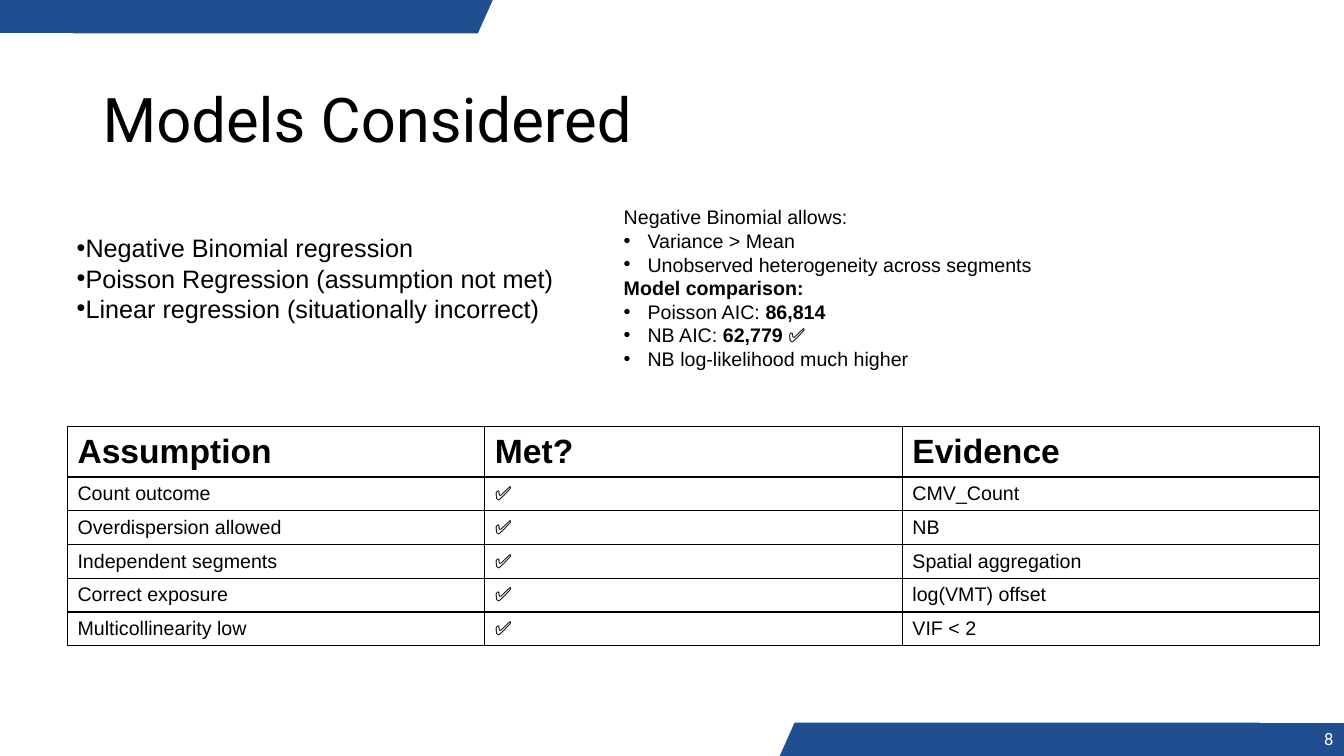
from lxml.etree import SubElement
from pptx import Presentation
from pptx.dml.color import RGBColor
from pptx.enum.shapes import MSO_SHAPE
from pptx.enum.text import MSO_ANCHOR, MSO_AUTO_SIZE, PP_ALIGN
from pptx.oxml.ns import qn
from pptx.util import Cm, Pt

BLUE = RGBColor(0x21, 0x4E, 0x91)
BLACK = RGBColor(0, 0, 0)
WHITE = RGBColor(0xFF, 0xFF, 0xFF)

SLIDE_WIDTH, SLIDE_HEIGHT = 33.87, 19.05
BAND_HEIGHT = 0.84

MODELS = [
    "Negative Binomial regression",
    "Poisson Regression (assumption not met)",
    "Linear regression (situationally incorrect)",
]
# Each line: bulleted or not, then its (text, bold) pieces
COMPARISON = [
    (False, [("Negative Binomial allows:", False)]),
    (True, [("Variance > Mean", False)]),
    (True, [("Unobserved heterogeneity across segments", False)]),
    (False, [("Model comparison:", True)]),
    (True, [("Poisson AIC: ", False), ("86,814", True)]),
    (True, [("NB AIC: ", False), ("62,779", True), (" ✅", False)]),
    (True, [("NB log-likelihood much higher", False)]),
]
ASSUMPTIONS = [
    ("Assumption", "Met?", "Evidence"),
    ("Count outcome", "✅", "CMV_Count"),
    ("Overdispersion allowed", "✅", "NB"),
    ("Independent segments", "✅", "Spatial aggregation"),
    ("Correct exposure", "✅", "log(VMT) offset"),
    ("Multicollinearity low", "✅", "VIF < 2"),
]


class SlideBuilder:
    """Adds elements in one style to the current slide; lengths are in cm."""

    heading_font = "Roboto"
    text_font = "Arial"

    def __init__(self, slide):
        self.slide = slide

    def place(self, shape, left, top, width, height):
        shape.left, shape.top = Cm(left), Cm(top)
        shape.width, shape.height = Cm(width), Cm(height)

    def format_runs(self, paragraph, size, name, color=BLACK):
        for run in paragraph.runs:
            run.font.size = Pt(size)
            run.font.name = name
            run.font.color.rgb = color

    def set_bullet(self, paragraph, indent):
        properties = paragraph._p.get_or_add_pPr()
        properties.set("marL", str(Cm(indent)))
        properties.set("indent", str(-Cm(indent)))
        SubElement(properties, qn("a:buFont"), typeface="Arial")
        SubElement(properties, qn("a:buChar"), char="•")

    def band(self, left, top, width, slant):
        shape = self.slide.shapes.add_shape(
            MSO_SHAPE.PARALLELOGRAM, Cm(left), Cm(top), Cm(width), Cm(BAND_HEIGHT))
        shape.adjustments[0] = slant
        shape.shadow.inherit = False
        shape.fill.solid()
        shape.fill.fore_color.rgb = BLUE
        shape.line.fill.background()

    def title(self, text, *position):
        title = self.slide.shapes.title
        self.place(title, *position)
        title.text_frame.text = text
        title.text_frame.vertical_anchor = MSO_ANCHOR.MIDDLE
        paragraph = title.text_frame.paragraphs[0]
        paragraph.alignment = PP_ALIGN.LEFT
        self.format_runs(paragraph, 44, self.heading_font)

    def body(self, lines, *position):
        body = self.slide.placeholders[1]
        self.place(body, *position)
        frame = body.text_frame
        frame.text = "\n".join(lines)
        frame.word_wrap = False
        frame.auto_size = MSO_AUTO_SIZE.SHAPE_TO_FIT_TEXT
        frame.vertical_anchor = MSO_ANCHOR.MIDDLE
        for paragraph in frame.paragraphs:
            self.set_bullet(paragraph, 0)
            paragraph.space_before = Pt(0)
            self.format_runs(paragraph, 18, self.text_font)

    def text_box(self, *position):
        frame = self.slide.shapes.add_textbox(*map(Cm, position)).text_frame
        frame.word_wrap = True
        return frame

    def comparison(self, lines, *position):
        frame = self.text_box(*position)
        frame.auto_size = MSO_AUTO_SIZE.SHAPE_TO_FIT_TEXT
        for index, (bulleted, pieces) in enumerate(lines):
            paragraph = frame.add_paragraph() if index else frame.paragraphs[0]
            if bulleted:
                self.set_bullet(paragraph, 0.6)
            for text, bold in pieces:
                run = paragraph.add_run()
                run.text = text
                run.font.bold = bold
            self.format_runs(paragraph, 14, self.text_font)

    def page_number(self, text, *position):
        frame = self.text_box(*position)
        frame.text = text
        frame.vertical_anchor = MSO_ANCHOR.MIDDLE
        paragraph = frame.paragraphs[0]
        paragraph.alignment = PP_ALIGN.RIGHT
        self.format_runs(paragraph, 12, self.heading_font, WHITE)

    def set_borders(self, cell):
        properties = cell._tc.get_or_add_tcPr()
        for side in ("lnL", "lnR", "lnT", "lnB"):
            line = SubElement(properties, qn(f"a:{side}"), w=str(Pt(1)))
            fill = SubElement(line, qn("a:solidFill"))
            SubElement(fill, qn("a:srgbClr"), val=str(BLACK))

    def table(self, rows, left, top, column_width, header_height, row_height):
        columns = len(rows[0])
        height = header_height + row_height * (len(rows) - 1)
        table = self.slide.shapes.add_table(
            len(rows), columns, Cm(left), Cm(top),
            Cm(column_width * columns), Cm(height)).table
        table.first_row = table.horz_banding = False
        for row_index, values in enumerate(rows):
            header = row_index == 0
            table.rows[row_index].height = Cm(header_height if header else row_height)
            for column_index, value in enumerate(values):
                cell = table.cell(row_index, column_index)
                cell.text_frame.text = value
                cell.vertical_anchor = MSO_ANCHOR.MIDDLE
                self.set_borders(cell)
                cell.fill.background()
                paragraph = cell.text_frame.paragraphs[0]
                self.format_runs(paragraph, 24 if header else 14, self.text_font)
                paragraph.runs[0].font.bold = header


def main():
    presentation = Presentation()
    presentation.slide_width = Cm(SLIDE_WIDTH)
    presentation.slide_height = Cm(SLIDE_HEIGHT)
    slide = presentation.slides.add_slide(presentation.slide_layouts[1])
    builder = SlideBuilder(slide)

    bottom = SLIDE_HEIGHT - BAND_HEIGHT
    builder.band(19.65, bottom, 12.1, 0.447)
    builder.band(SLIDE_WIDTH - 10.4, bottom, 10.4, 0)
    builder.band(1.85, 0, 10.57, 0.447)
    builder.band(0, 0, 9.1, 0)

    builder.title("Models Considered", 2.33, 1.14, 29.21, 3.68)
    builder.body(MODELS, 1.68, 5.72, 12.62, 2.57)
    builder.comparison(COMPARISON, 15.47, 5.05, 16.94, 4.45)
    builder.table(ASSUMPTIONS, 1.7, 10.75, 10.52, 1.26, 0.85)
    builder.page_number("8", 32.54, bottom, 1.32, BAND_HEIGHT)

    presentation.save("out.pptx")


if __name__ == "__main__":
    main()
